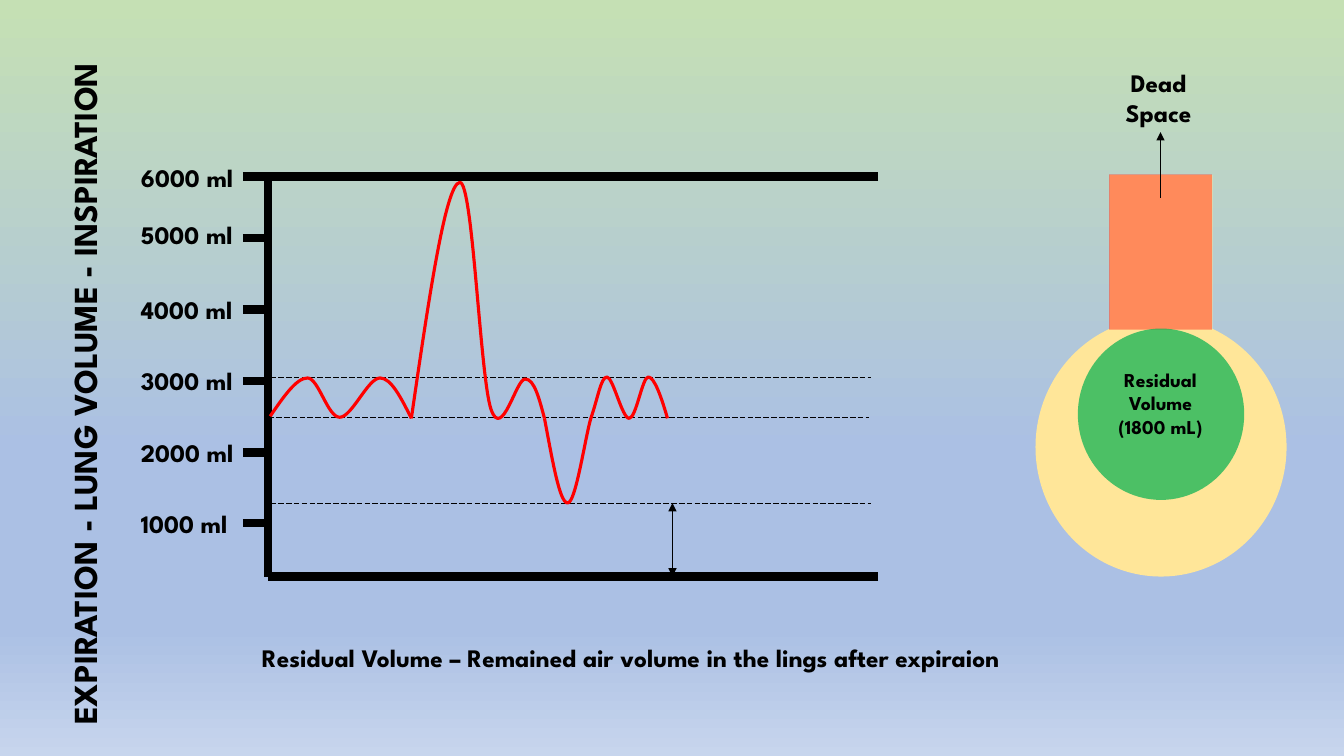
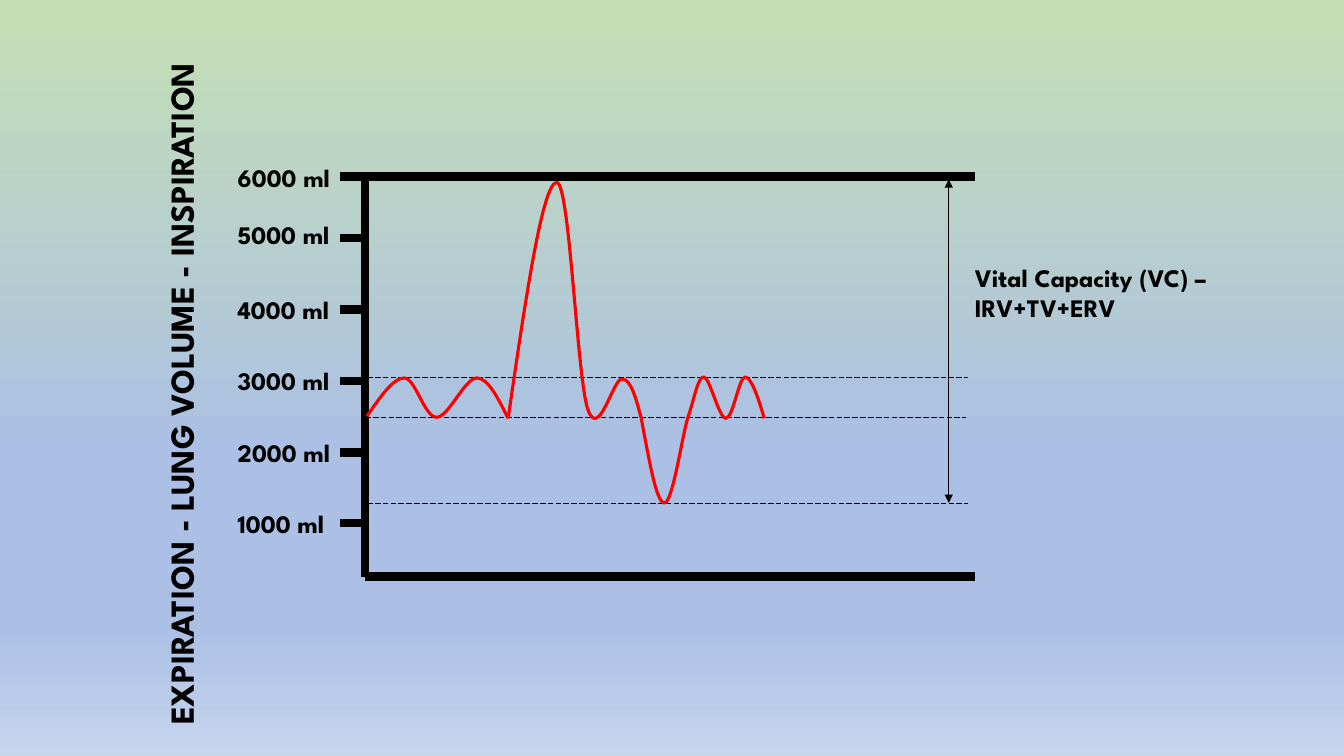
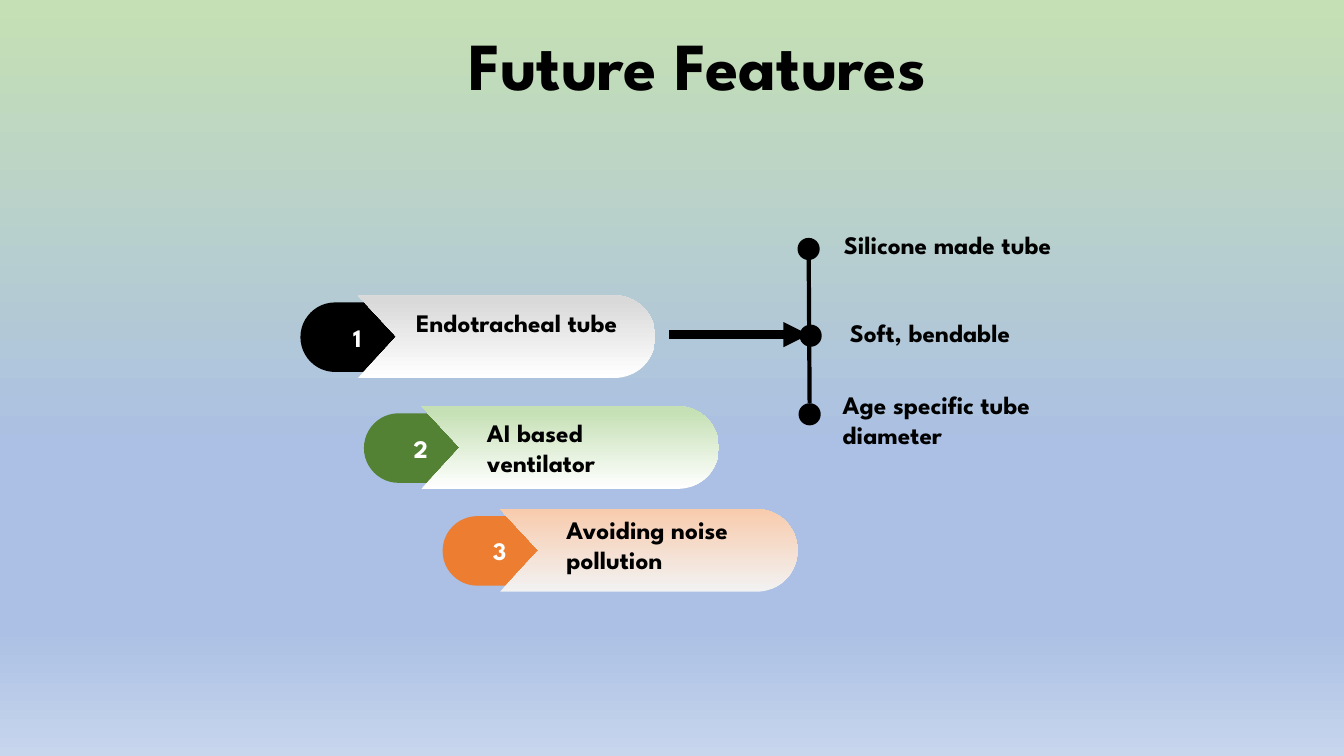
"""Build three slides on lung volumes and future ventilator features."""
from lxml.etree import SubElement
from pptx import Presentation
from pptx.dml.color import RGBColor
from pptx.enum.dml import MSO_LINE
from pptx.enum.shapes import MSO_CONNECTOR, MSO_SHAPE as SHAPE
from pptx.enum.text import MSO_ANCHOR, MSO_AUTO_SIZE, PP_ALIGN
from pptx.oxml.ns import qn
from pptx.util import Inches, Pt

FONT = "League Spartan"
BLACK = RGBColor(0x00, 0x00, 0x00)
WHITE = RGBColor(0xFF, 0xFF, 0xFF)
RED = RGBColor(0xFF, 0x00, 0x00)
YELLOW = RGBColor(0xFF, 0xE6, 0x99)
GREEN = RGBColor(0x00, 0xB0, 0x50)
DARK_GREEN = RGBColor(0x54, 0x82, 0x35)
LIGHT_GREEN = RGBColor(0xC5, 0xE0, 0xB4)
ORANGE = RGBColor(0xED, 0x7D, 0x31)
PEACH = RGBColor(0xF8, 0xCB, 0xAD)
GREY = RGBColor(0xD9, 0xD9, 0xD9)
PALE_GREY = RGBColor(0xF2, 0xF2, 0xF2)
BLUE = RGBColor(0xAB, 0xC0, 0xE4)
PALE_BLUE = RGBColor(0xC7, 0xD5, 0xED)


def write(shape, lines, size=18, color=BLACK, align=PP_ALIGN.LEFT, anchor=MSO_ANCHOR.TOP):
    tf = shape.text_frame
    tf.word_wrap = True
    tf.auto_size = MSO_AUTO_SIZE.NONE
    tf.vertical_anchor = anchor
    for i, text in enumerate(lines):
        p = tf.add_paragraph() if i else tf.paragraphs[0]
        p.alignment = align
        r = p.add_run()
        r.text = text
        r.font.name, r.font.size, r.font.bold = FONT, Pt(size), True
        r.font.color.rgb = color


def line(s, x1, y1, x2, y2, width, dash=None, ends=()):
    c = s.shapes.add_connector(MSO_CONNECTOR.STRAIGHT, *map(Inches, (x1, y1, x2, y2)))
    c.line.color.rgb = BLACK
    c.line.width = Pt(width)
    if dash:
        c.line.dash_style = dash
    for end in ends:
        SubElement(c.element.xpath(".//a:ln")[0], qn("a:" + end), type="triangle")
    SubElement(c.element.spPr, qn("a:effectLst"))


prs = Presentation()
prs.slide_width, prs.slide_height = Inches(13.33), Inches(7.5)
master = prs.slide_master
gradients = [(master, master.background.fill, 270,
              [(0, LIGHT_GREEN), (60, BLUE), (83, BLUE), (100, PALE_BLUE)])]
flat_shapes = []
curved_shapes = []

TOP, BOTTOM = 1.75, 5.72
TICKS = [(1000, 5.19, 4.99), (2000, 4.49, 4.29), (3000, 3.78, 3.58),
         (4000, 3.07, 2.87), (5000, 2.36, 2.13), (6000, TOP, 1.56)]
BREATHS = [
    [(0.02, 4.13),
     (0.15, 3.94), (0.28, 3.75), (0.39, 3.75),
     (0.50, 3.75), (0.59, 4.14), (0.71, 4.14),
     (0.83, 4.14), (0.99, 3.75), (1.11, 3.75),
     (1.22, 3.75), (1.32, 3.95), (1.42, 4.15)],
    [(1.42, 4.15),
     (1.59, 2.98), (1.76, 1.82), (1.90, 1.81),
     (2.03, 1.79), (2.10, 3.73), (2.21, 4.06),
     (2.32, 4.38), (2.46, 3.75), (2.55, 3.76),
     (2.64, 3.76), (2.69, 3.96), (2.74, 4.15)],
    [(2.74, 4.15),
     (2.82, 4.57), (2.89, 4.99), (2.97, 4.99),
     (3.05, 4.99), (3.14, 4.36), (3.20, 4.15),
     (3.27, 3.95), (3.30, 3.74), (3.36, 3.74),
     (3.42, 3.74), (3.51, 4.15), (3.58, 4.15),
     (3.65, 4.15), (3.71, 3.74), (3.77, 3.74),
     (3.83, 3.74), (3.90, 3.94), (3.96, 4.15)],
]

graph_slides = []
for axis in (2.66, 3.62):
    s = prs.slides.add_slide(prs.slide_layouts[6])
    graph_slides.append(s)
    line(s, axis, TOP, axis, BOTTOM, 6)
    for y in (TOP, BOTTOM):
        line(s, axis + 6.05, y, axis, y, 6)
    for volume, y, label_top in TICKS:
        line(s, axis - 0.25, y, axis, y, 6)
        label = s.shapes.add_textbox(*map(Inches, (axis - 1.36, label_top, 1.36, 0.4)))
        write(label, [f"{volume} ml"])
    for start, y in ((0.02, 4.99), (0.02, 3.74), (0, 4.14)):
        line(s, axis + start, y, axis + start + 5.96, y, 0.5, MSO_LINE.LONG_DASH)
    caption = s.shapes.add_textbox(*map(Inches, (axis - 5.37, 3.5, 7.08, 0.5)))
    caption.rotation = 270
    write(caption, ["EXPIRATION - LUNG VOLUME - INSPIRATION"], 24)

    for breath in BREATHS:
        start, *points = [(Inches(axis + x), Inches(y)) for x, y in breath]
        fb = s.shapes.build_freeform(*start)
        fb.add_line_segments(points, close=False)
        trace = fb.convert_to_shape()
        trace.shadow.inherit = False
        trace.fill.background()
        trace.line.color.rgb = RED
        trace.line.width = Pt(2.25)
        curved_shapes.append((trace, range(0, len(points), 3)))

BOTH_ENDS = ("headEnd", "tailEnd")
s = graph_slides[0]
line(s, 6.67, 4.99, 6.67, BOTTOM, 0.5, ends=BOTH_ENDS)
for kind, box, color, opacity, turn in (
    (SHAPE.OVAL, (10.27, 3.15, 2.49, 2.57), YELLOW, 100, 0),
    (SHAPE.RECTANGLE, (10.61, 2.13, 1.81, 1.02), YELLOW, 100, 270),
    (SHAPE.RECTANGLE, (10.74, 1.99, 1.54, 1.02), RED, 40, 270),
    (SHAPE.OVAL, (10.69, 3.26, 1.65, 1.7), GREEN, 70, 0),
):
    sp = s.shapes.add_shape(kind, *map(Inches, box))
    sp.rotation = turn
    sp.fill.solid()
    sp.fill.fore_color.rgb = color
    if opacity < 100:
        clr = sp.element.spPr.xpath("./a:solidFill/a:srgbClr")[0]
        SubElement(clr, qn("a:alpha"), val=str(opacity * 1000))
    flat_shapes.append(sp)
line(s, 11.51, 1.96, 11.51, 1.31, 0.5, ends=("tailEnd",))
for box, lines, size, align in (
    ((10.25, 3.6, 2.52, 0.81), ["Residual", "Volume", "(1800 mL)"], 14, PP_ALIGN.CENTER),
    ((10.23, 0.62, 2.52, 0.71), ["Dead", "Space"], 18, PP_ALIGN.CENTER),
    ((2.5, 6.32, 8.33, 0.4),
     ["Residual Volume – Remained air volume in the lings after expiraion"], 18, PP_ALIGN.LEFT),
):
    write(s.shapes.add_textbox(*map(Inches, box)), lines, size, align=align)

s = graph_slides[1]
line(s, 9.41, 1.78, 9.41, 4.99, 0.5, ends=BOTH_ENDS)
capacity = s.shapes.add_textbox(*map(Inches, (9.57, 2.55, 3.55, 0.71)))
write(capacity, ["Vital Capacity (VC) – IRV+TV+ERV"])

s = prs.slides.add_slide(prs.slide_layouts[5])
title = s.shapes.title
title.left, title.top, title.width, title.height = map(Inches, (3.56, 0.19, 6.71, 0.88))
write(title, ["Future Features"], 48, align=PP_ALIGN.CENTER, anchor=MSO_ANCHOR.MIDDLE)

FEATURES = [
    (2.98, 3, BLACK, [(0, WHITE), (95, GREY)], (4.03, 3, 2.31, 0.75), "Endotracheal tube"),
    (3.61, 4.1, DARK_GREEN, [(0, WHITE), (95, LIGHT_GREEN)], (4.73, 4.09, 2.29, 0.75),
     "AI based ventilator"),
    (4.39, 5.12, ORANGE, [(0, PALE_GREY), (100, PEACH)], (5.52, 5.05, 2.07, 1.07),
     "Avoiding noise pollution"),
]
BANNER = [(2.54, 0), (2.77, 0), (2.95, 0.18), (2.95, 0.41), (2.95, 0.64), (2.77, 0.82),
          (2.54, 0.82), (0, 0.82), (0.38, 0.41)]
for number, (x, y, color, stops, box, text) in enumerate(FEATURES, 1):
    badge = s.shapes.add_shape(SHAPE.ROUNDED_RECTANGLE, *map(Inches, (x, y, 1.13, 0.69)))
    badge.adjustments[0] = 0.5
    badge.fill.solid()
    badge.fill.fore_color.rgb = color
    write(badge, [str(number)], color=WHITE, align=PP_ALIGN.CENTER, anchor=MSO_ANCHOR.MIDDLE)

    left, top = x + 0.57, y - 0.07
    fb = s.shapes.build_freeform(Inches(left), Inches(top))
    fb.add_line_segments([(Inches(left + dx), Inches(top + dy)) for dx, dy in BANNER])
    banner = fb.convert_to_shape()
    curved_shapes.append((banner, (1, 4)))
    gradients.append((banner, banner.fill, 90, stops))
    flat_shapes += [badge, banner]
    write(s.shapes.add_textbox(*map(Inches, box)), [text])

line(s, 6.64, 3.32, 8.02, 3.32, 6, ends=("tailEnd",))
line(s, 8.02, 2.37, 8.03, 4, 3)
for x, y, box, text in (
    (7.91, 2.36, (8.27, 2.23, 2.31, 0.71), "Silicone made tube"),
    (7.93, 3.22, (8.33, 3.1, 2.89, 0.4), "Soft, bendable"),
    (7.92, 4, (8.26, 3.81, 2.3, 0.71), "Age specific tube diameter"),
):
    dot = s.shapes.add_shape(SHAPE.OVAL, *map(Inches, (x, y, 0.22, 0.22)))
    dot.fill.solid()
    dot.fill.fore_color.rgb = BLACK
    flat_shapes.append(dot)
    write(s.shapes.add_textbox(*map(Inches, box)), [text])

for sp in flat_shapes:
    sp.shadow.inherit = False
    sp.line.fill.background()

for sp, starts in curved_shapes:
    outline = sp.element.xpath(".//a:pathLst/a:path")[0]
    steps = outline.findall(qn("a:lnTo"))
    for i in starts:
        curve = SubElement(outline, qn("a:cubicBezTo"))
        steps[i].addprevious(curve)
        for step in steps[i:i + 3]:
            curve.append(step[0])
            outline.remove(step)

for owner, fill, angle, stops in gradients:
    fill.gradient()
    fill.gradient_angle = angle
    stop_list = owner.element.xpath(".//a:gsLst")[0]
    for stop in list(stop_list):
        stop_list.remove(stop)
    for position, color in stops:
        stop = SubElement(stop_list, qn("a:gs"), pos=str(position * 1000))
        SubElement(stop, qn("a:srgbClr"), val=str(color))

prs.save("out.pptx")
